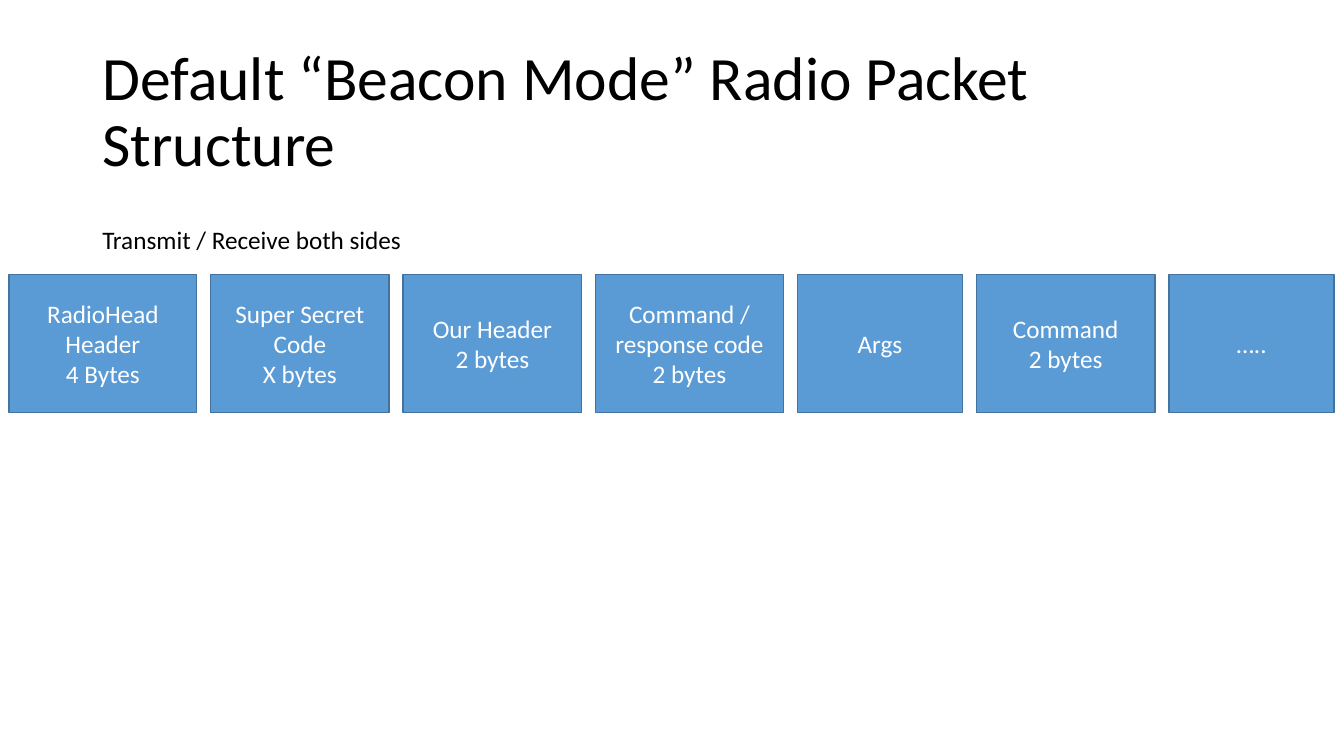
"""Build the radio packet structure slide."""
from dataclasses import dataclass

from pptx import Presentation
from pptx.dml.color import RGBColor
from pptx.enum.shapes import MSO_SHAPE
from pptx.enum.text import MSO_ANCHOR, MSO_AUTO_SIZE, PP_ALIGN
from pptx.util import Pt

TITLE = "Default “Beacon Mode” Radio Packet Structure"
CAPTION = "Transmit / Receive both sides"
FIELDS = [
    ("RadioHead Header\n4 Bytes", 134),
    ("Super Secret Code\nX bytes", 127.5),
    ("Our Header\n2 bytes", 127.5),
    ("Command / response code\n2 bytes", 134),
    ("Args", 118),
    ("Command\n2 bytes", 127.5),
    ("…..", 118),
]
ROW_LEFT, ROW_TOP, ROW_HEIGHT, GAP = 6.5, 196, 98.8, 10


@dataclass(frozen=True)
class Theme:
    font: str = "Calibri"
    title_size: int = 44
    text_size: int = 18
    ink: RGBColor = RGBColor(0, 0, 0)
    light: RGBColor = RGBColor(255, 255, 255)
    fill: RGBColor = RGBColor(0x5B, 0x9B, 0xD5)
    line: RGBColor = RGBColor(0x43, 0x73, 0x9E)


THEME = Theme()


def write(tf, text, size, color, align=PP_ALIGN.LEFT):
    tf.text = text
    for p in tf.paragraphs:
        p.alignment = align
        for r in p.runs:
            r.font.name = THEME.font
            r.font.size = Pt(size)
            r.font.color.rgb = color


def add_title(s):
    sp = s.shapes.title
    sp.left, sp.top, sp.width, sp.height = Pt(66), Pt(28.75), Pt(828), Pt(104.4)
    tf = sp.text_frame
    tf.auto_size = MSO_AUTO_SIZE.NONE
    tf.vertical_anchor = MSO_ANCHOR.MIDDLE
    write(tf, TITLE, THEME.title_size, THEME.ink)
    tf.paragraphs[0].line_spacing = 0.9


def add_caption(s):
    tf = s.shapes.add_textbox(Pt(66), Pt(157), Pt(230.4), Pt(29)).text_frame
    tf.word_wrap = False
    tf.auto_size = MSO_AUTO_SIZE.SHAPE_TO_FIT_TEXT
    write(tf, CAPTION, THEME.text_size, THEME.ink)


def add_field(s, text, left, width):
    sp = s.shapes.add_shape(
        MSO_SHAPE.RECTANGLE, Pt(left), Pt(ROW_TOP), Pt(width), Pt(ROW_HEIGHT))
    sp.shadow.inherit = False
    sp.fill.solid()
    sp.fill.fore_color.rgb = THEME.fill
    sp.line.color.rgb = THEME.line
    sp.line.width = Pt(1)
    tf = sp.text_frame
    tf.word_wrap = True
    tf.vertical_anchor = MSO_ANCHOR.MIDDLE
    write(tf, text, THEME.text_size, THEME.light, PP_ALIGN.CENTER)


def main():
    prs = Presentation()
    prs.slide_width, prs.slide_height = Pt(960), Pt(540)
    s = prs.slides.add_slide(prs.slide_layouts[5])
    add_title(s)
    add_caption(s)
    left = ROW_LEFT
    for text, width in FIELDS:
        add_field(s, text, left, width)
        left += width + GAP
    prs.save("out.pptx")


if __name__ == "__main__":
    main()
